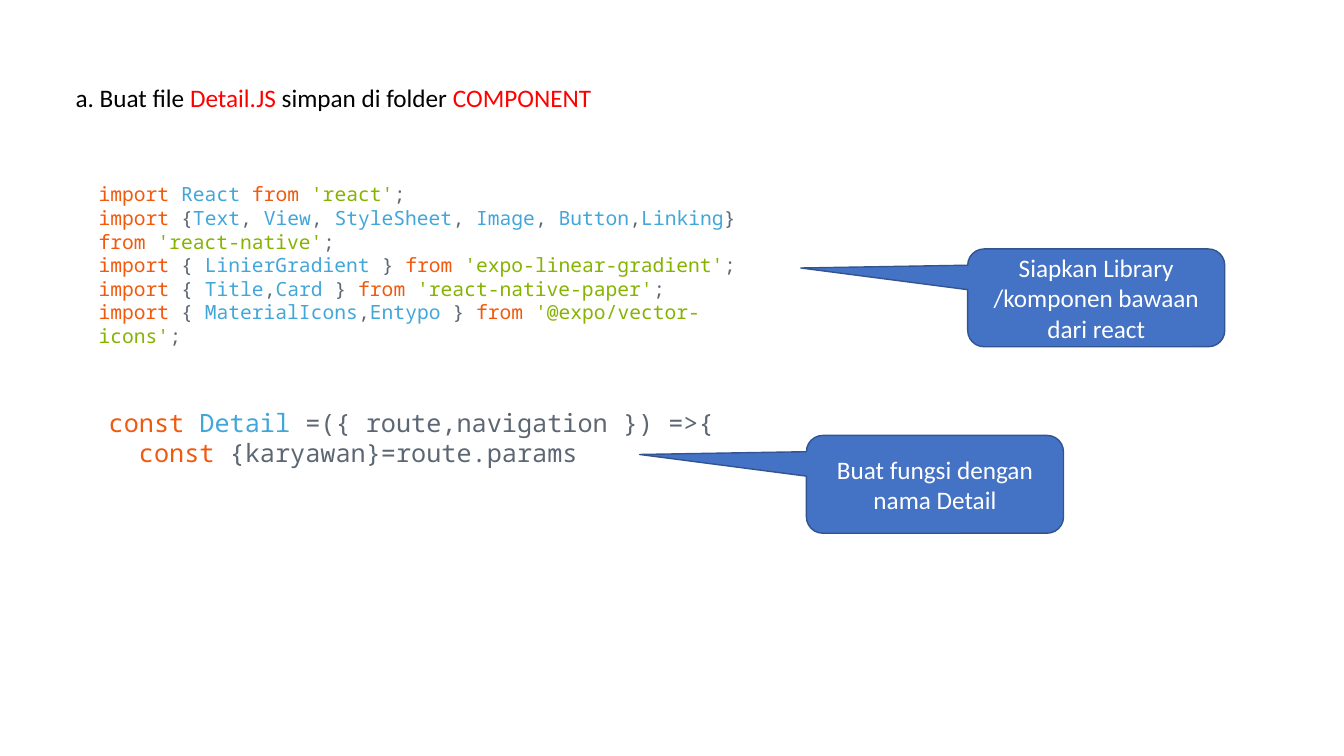
from pptx import Presentation
from pptx.dml.color import RGBColor
from pptx.enum.shapes import MSO_SHAPE
from pptx.enum.text import MSO_ANCHOR, MSO_AUTO_SIZE, PP_ALIGN
from pptx.util import Inches, Pt

WIDE, HIGH = 13.33, 7.5
SANS, MONO = "Calibri", "Noto Sans Mono"
INK = {
    "b": "000000",
    "r": "FF0000",
    "w": "FFFFFF",
    "k": "F2590C",
    "n": "41A6D9",
    "s": "86B300",
    "p": "5C6773",
}
LIBS = [
    "kimport |nReact |kfrom |s'react'|p;",
    "kimport|p {|nText|p, |nView|p, |nStyleSheet|p, |nImage|p, |nButton|p,|nLinking|p} "
    "|kfrom |s'react-native'|p;",
    "kimport|p { |nLinierGradient|p } |kfrom |s'expo-linear-gradient'|p;",
    "kimport|p { |nTitle|p,|nCard|p } |kfrom |s'react-native-paper'|p;",
    "kimport|p { |nMaterialIcons|p,|nEntypo|p } |kfrom |s'@expo/vector-icons'|p;",
]
FUNC = [
    "kconst |nDetail|p =({ route,navigation }) =>{",
    "kconst|p {karyawan}=route.params",
]


def tint(code):
    return RGBColor.from_string(code)


def place(shape, left, top, width, height):
    shape.left, shape.top = Inches(left), Inches(top)
    shape.width, shape.height = Inches(width), Inches(height)


def write(para, line, font, size):
    for part in line.split("|"):
        run = para.add_run()
        run.text = part[1:]
        run.font.name = font
        run.font.size = Pt(size)
        run.font.color.rgb = tint(INK[part[0]])


def head(slide, line, box):
    title = slide.shapes.title
    place(title, *box)
    frame = title.text_frame
    frame.word_wrap = True
    frame.auto_size = MSO_AUTO_SIZE.NONE
    frame.vertical_anchor = MSO_ANCHOR.TOP
    para = frame.paragraphs[0]
    para.alignment = PP_ALIGN.LEFT
    write(para, line, SANS, 18)


def code(slide, lines, box, size):
    shape = slide.shapes.add_textbox(*map(Inches, box))
    frame = shape.text_frame
    frame.word_wrap = True
    for row, line in enumerate(lines):
        para = frame.add_paragraph() if row else frame.paragraphs[0]
        write(para, line, MONO, size)
    return frame


def indent(para, chars, size):
    props = para._p.get_or_add_pPr()
    props.set("marL", str(Pt(0.6 * size * chars)))
    props.set("indent", "0")


def callout(slide, line, left, top):
    box = map(Inches, (left, top, 2.55, 0.97))
    shape = slide.shapes.add_shape(MSO_SHAPE.ROUNDED_RECTANGULAR_CALLOUT, *box)
    shape.shadow.inherit = False
    for spot, value in enumerate((-1.149, -0.305, 0.167)):
        shape.adjustments[spot] = value
    shape.fill.solid()
    shape.fill.fore_color.rgb = tint("4472C4")
    shape.line.color.rgb = tint("325491")
    shape.line.width = Pt(1)
    frame = shape.text_frame
    frame.word_wrap = True
    frame.vertical_anchor = MSO_ANCHOR.MIDDLE
    para = frame.paragraphs[0]
    para.alignment = PP_ALIGN.CENTER
    write(para, line, SANS, 18)


def main():
    deck = Presentation()
    deck.slide_width, deck.slide_height = Inches(WIDE), Inches(HIGH)
    slide = deck.slides.add_slide(deck.slide_layouts[5])
    half = WIDE / 2
    head(
        slide,
        "ba. Buat file |rDetail.JS |bsimpan di folder |rCOMPONENT",
        (0.65, 0.77, half, 0.4),
    )
    code(slide, LIBS, (0.88, 1.76, half, 1.99), 14)
    callout(slide, "wSiapkan Library /komponen bawaan dari react", 0.72 * WIDE, 2.47)
    frame = code(slide, FUNC, (0.98, 3.99, 7.14, 0.71), 18)
    indent(frame.paragraphs[1], 2, 18)
    callout(slide, "wBuat fungsi dengan nama Detail", 0.6 * WIDE, 4.32)
    deck.save("out.pptx")


if __name__ == "__main__":
    main()
